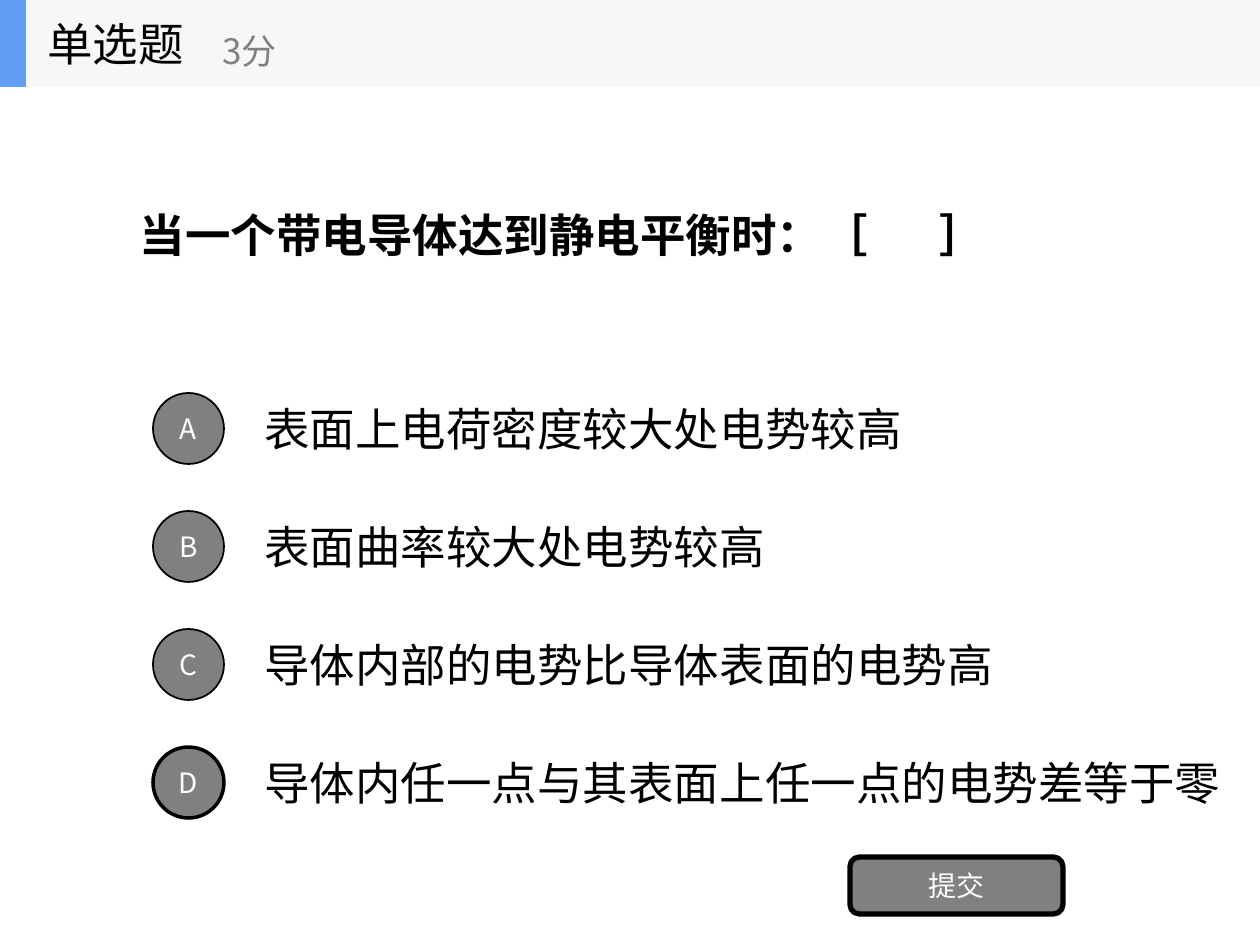
from dataclasses import dataclass

from lxml import etree
from pptx import Presentation
from pptx.dml.color import RGBColor
from pptx.enum.shapes import MSO_SHAPE
from pptx.enum.text import MSO_ANCHOR, MSO_AUTO_SIZE, PP_ALIGN
from pptx.oxml.ns import qn
from pptx.shapes.autoshape import Shape
from pptx.slide import Slide
from pptx.util import Emu, Pt

RECTANGLE = MSO_SHAPE.RECTANGLE
ROUNDED = MSO_SHAPE.ROUNDED_RECTANGLE
OVAL = MSO_SHAPE.OVAL
LEFT = PP_ALIGN.LEFT
CENTER = PP_ALIGN.CENTER
MIDDLE = MSO_ANCHOR.MIDDLE
FIXED_SIZE = MSO_AUTO_SIZE.NONE

EMU_PER_PX = 914400 / 126
SLIDE_WIDTH, SLIDE_HEIGHT = 1260, 945
HEADER_HEIGHT = 87
FIRST_OPTION_TOP, OPTION_PITCH = 384, 118
CLOSING_BRACKET_TAB = 800


@dataclass(frozen=True)
class Theme:
    ink: str = "000000"
    white: str = "FFFFFF"
    gray: str = "808080"
    header: str = "F6F7F8"
    accent: str = "639EF4"
    body_font: str = "Calibri"
    chinese_font: str = "Noto Sans CJK SC"
    large: int = 26
    medium: int = 20
    small: int = 16


@dataclass(frozen=True)
class Box:
    left: int
    top: int
    width: int
    height: int

    def emu(self) -> tuple[Emu, ...]:
        return tuple(px(n) for n in (self.left, self.top, self.width, self.height))


@dataclass(frozen=True)
class TextStyle:
    size: int
    color: str
    font: str
    bold: bool = False
    align: PP_ALIGN = LEFT


@dataclass(frozen=True)
class Option:
    letter: str
    text: str
    outline: int = 1


THEME = Theme()
QUESTION = TextStyle(THEME.large, THEME.ink, THEME.body_font, bold=True)
ANSWER = TextStyle(THEME.large, THEME.ink, THEME.body_font)
HEADING = TextStyle(THEME.large, THEME.ink, THEME.chinese_font)
SCORE = TextStyle(THEME.medium, THEME.gray, THEME.chinese_font)
BUTTON = TextStyle(THEME.small, THEME.white, THEME.chinese_font, align=CENTER)

OPTIONS = (
    Option("A", "表面上电荷密度较大处电势较高"),
    Option("B", "表面曲率较大处电势较高"),
    Option("C", "导体内部的电势比导体表面的电势高"),
    Option("D", "导体内任一点与其表面上任一点的电势差等于零", outline=2),
)


def px(length: int) -> Emu:
    return Emu(round(length * EMU_PER_PX))


def write(shape: Shape, text: str, style: TextStyle, wrap: bool = True) -> None:
    frame = shape.text_frame
    frame.text = text
    frame.word_wrap = wrap
    frame.auto_size = FIXED_SIZE
    frame.vertical_anchor = MIDDLE
    paragraph = frame.paragraphs[0]
    paragraph.alignment = style.align
    for run in paragraph.runs:
        run.font.size = Pt(style.size)
        run.font.bold = style.bold
        run.font.color.rgb = RGBColor.from_string(style.color)
        run.font.name = style.font
        properties = run._r.get_or_add_rPr()
        etree.SubElement(properties, qn("a:ea"), typeface=THEME.chinese_font)


def add_text(slide: Slide, box: Box, text: str, style: TextStyle) -> None:
    write(slide.shapes.add_textbox(*box.emu()), text, style)


def add_block(slide: Slide, kind: MSO_SHAPE, box: Box, fill: str, outline: int = 0) -> Shape:
    shape = slide.shapes.add_shape(kind, *box.emu())
    shape.shadow.inherit = False
    shape.fill.solid()
    shape.fill.fore_color.rgb = RGBColor.from_string(fill)
    if outline:
        shape.line.color.rgb = RGBColor.from_string(THEME.ink)
        shape.line.width = Pt(outline)
    else:
        shape.line.fill.background()
    return shape


def add_question(slide: Slide) -> None:
    title = slide.shapes.title
    title.left, title.top, title.width, title.height = Box(127, 87, 1090, 295).emu()
    write(title, "当一个带电导体达到静电平衡时：［\t］", QUESTION)
    properties = title.text_frame.paragraphs[0]._p.get_or_add_pPr()
    tabs = etree.SubElement(properties, qn("a:tabLst"))
    etree.SubElement(tabs, qn("a:tab"), pos=str(px(CLOSING_BRACKET_TAB)), algn="l")


def add_option(slide: Slide, option: Option, top: int) -> None:
    add_text(slide, Box(252, top, 1008, 88), option.text, ANSWER)
    circle = add_block(slide, OVAL, Box(153, top + 9, 71, 71), THEME.gray, option.outline)
    write(circle, option.letter, BUTTON, wrap=False)


def add_header(slide: Slide) -> None:
    add_block(slide, RECTANGLE, Box(0, 0, SLIDE_WIDTH, HEADER_HEIGHT), THEME.header)
    add_block(slide, RECTANGLE, Box(0, 0, 26, HEADER_HEIGHT), THEME.accent)
    add_text(slide, Box(35, 0, 262, HEADER_HEIGHT), "单选题", HEADING)
    add_text(slide, Box(210, 15, 315, 71), "3分", SCORE)


def main() -> None:
    presentation = Presentation()
    presentation.slide_width = px(SLIDE_WIDTH)
    presentation.slide_height = px(SLIDE_HEIGHT)
    slide = presentation.slides.add_slide(presentation.slide_layouts[5])
    add_question(slide)
    for index, option in enumerate(OPTIONS):
        add_option(slide, option, FIRST_OPTION_TOP + index * OPTION_PITCH)
    submit = add_block(slide, ROUNDED, Box(850, 857, 213, 57), THEME.gray, outline=3)
    write(submit, "提交", BUTTON, wrap=False)
    add_header(slide)
    presentation.save("out.pptx")


if __name__ == "__main__":
    main()
